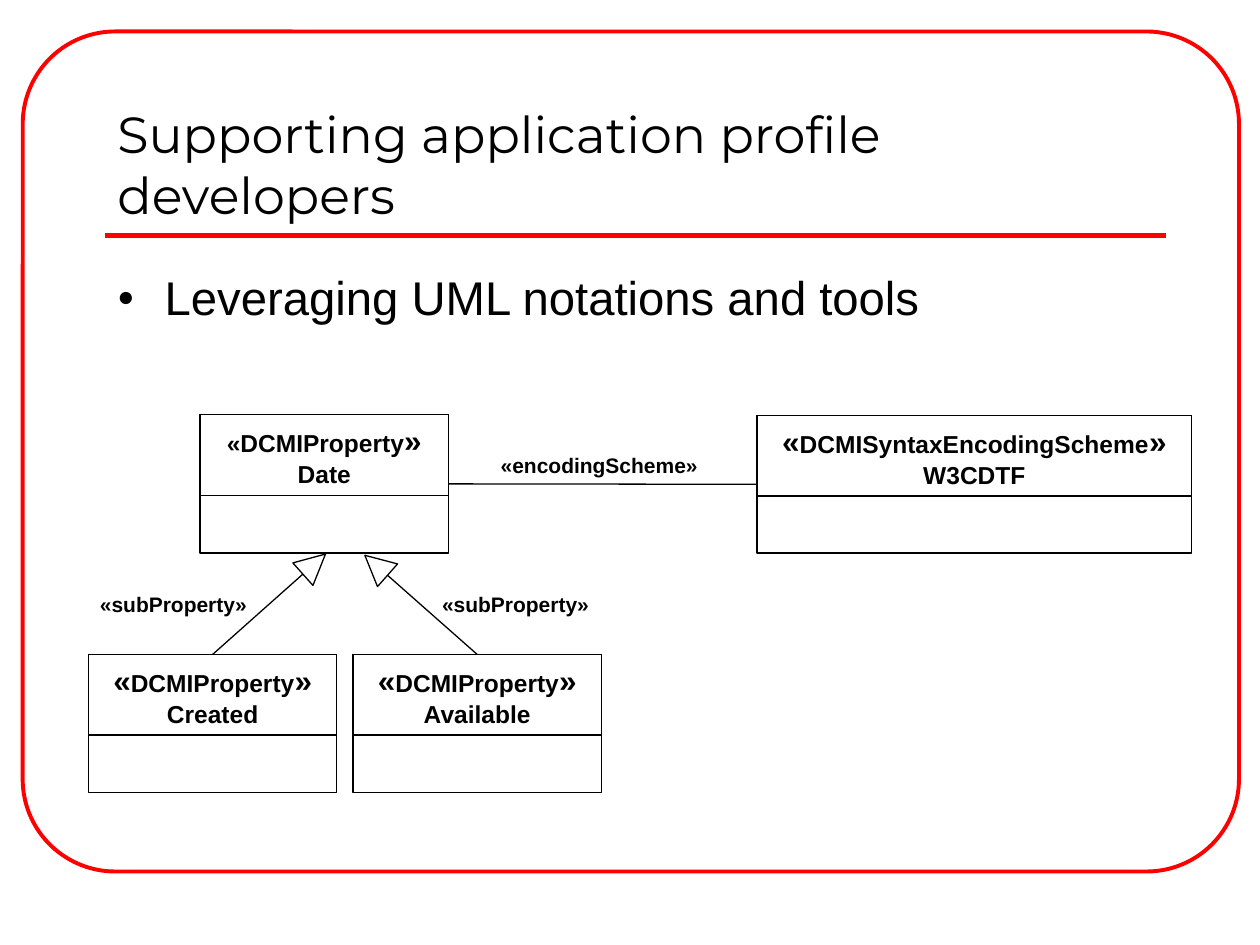
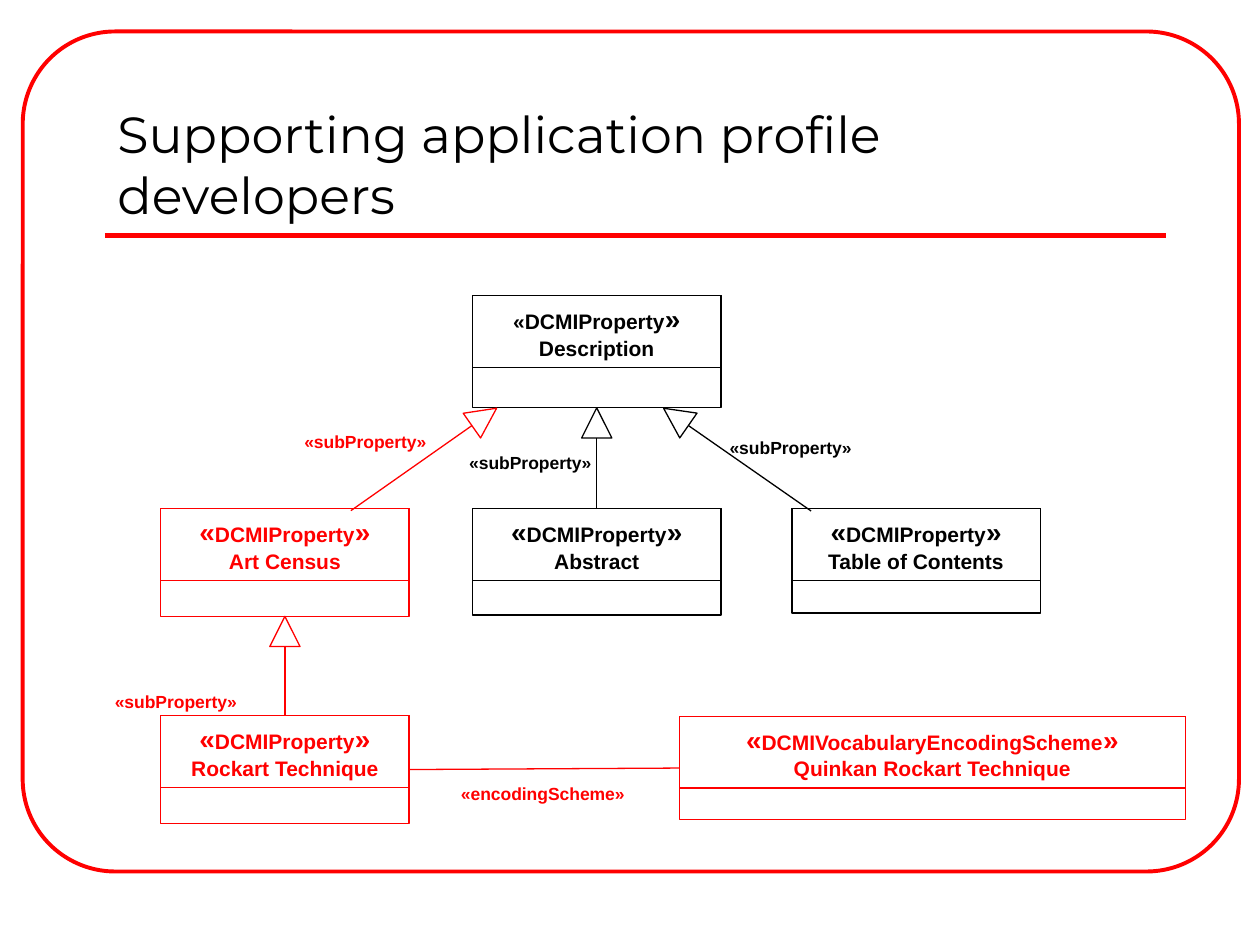
from dataclasses import dataclass
from math import atan2, cos, degrees, sin
from typing import Optional

from lxml.etree import SubElement
from pptx import Presentation
from pptx.dml.color import RGBColor
from pptx.enum.shapes import MSO_CONNECTOR, MSO_SHAPE
from pptx.enum.text import MSO_ANCHOR, MSO_AUTO_SIZE, PP_ALIGN
from pptx.oxml.ns import qn
from pptx.util import Pt

COLORS = {"black": "000000", "red": "FF0000", "white": "FFFFFF"}
BODY_FONT = "Arial"
TITLE_FONT = "Montserrat"
TITLE = "Supporting application profile developers"
LINE_WIDTH = 0.75
TRIANGLE_SIZE = 17.25
TOP, LEFT, BOTTOM, RIGHT = range(4)

SUB_PROPERTY = "«subProperty»"
ENCODING_SCHEME = "«encodingScheme»"
LABEL_WIDTH_EMS = {SUB_PROPERTY: 7, ENCODING_SCHEME: 9.4}

Point = tuple[float, float]


@dataclass(frozen=True)
class UmlClass:
    name: str
    x: float
    y: float
    height: float
    width: float = 142
    stereotype: str = "DCMIProperty"
    color: str = "black"
    small_opening: bool = False


@dataclass(frozen=True)
class Generalization:
    """Line from child to parent; without points it joins their facing sides."""
    child: str
    parent: str
    color: str = "black"
    start: Optional[Point] = None
    tip: Optional[Point] = None


@dataclass(frozen=True)
class Association:
    source: str
    target: str
    color: str = "black"


@dataclass(frozen=True)
class Label:
    text: str
    x: float
    y: float
    color: str = "black"


@dataclass(frozen=True)
class Diagram:
    text_size: float
    header_height: float
    label_size: float
    classes: list[UmlClass]
    generalizations: list[Generalization]
    association: Association
    labels: list[Label]


DATE_DIAGRAM = Diagram(
    text_size=14, header_height=46, label_size=12,
    classes=[
        UmlClass("Date", 114.3, 237, 79, small_opening=True),
        UmlClass("Created", 50.5, 374, 79),
        UmlClass("W3CDTF", 432.6, 237.5, 78.5, width=248.4,
                 stereotype="DCMISyntaxEncodingScheme"),
        UmlClass("Available", 201.7, 374, 79),
    ],
    generalizations=[
        Generalization("Created", "Date", tip=(186, 316.6)),
        Generalization("Available", "Date", tip=(208.5, 317.3)),
    ],
    association=Association("Date", "W3CDTF"),
    labels=[
        Label(ENCODING_SCHEME, 279, 254.8),
        Label(SUB_PROPERTY, 245.5, 334.5),
        Label(SUB_PROPERTY, 50, 334.5),
    ],
)

DESCRIPTION_DIAGRAM = Diagram(
    text_size=12, header_height=41, label_size=10,
    classes=[
        UmlClass("Description", 270, 169, 64, small_opening=True),
        UmlClass("Art Census", 91.8, 290.7, 61.5, color="red"),
        UmlClass("Quinkan Rockart Technique", 388.3, 409.3, 59.2, width=289,
                 stereotype="DCMIVocabularyEncodingScheme", color="red"),
        UmlClass("Rockart Technique", 91.8, 409, 61.5, color="red"),
        UmlClass("Abstract", 270, 290.7, 60.7),
        UmlClass("Table of Contents", 452.5, 290.7, 59.7),
    ],
    generalizations=[
        Generalization("Rockart Technique", "Art Census", color="red"),
        Generalization("Abstract", "Description"),
        Generalization("Table of Contents", "Description",
                       start=(463.5, 292), tip=(379.2, 233.3)),
        Generalization("Art Census", "Description", color="red",
                       start=(200.5, 291.8), tip=(283.8, 233.3)),
    ],
    association=Association("Rockart Technique", "Quinkan Rockart Technique", "red"),
    labels=[
        Label(SUB_PROPERTY, 261, 254.8),
        Label(SUB_PROPERTY, 58.5, 391.3, "red"),
        Label(SUB_PROPERTY, 409.8, 246.2),
        Label(SUB_PROPERTY, 166.8, 242.7, "red"),
        Label(ENCODING_SCHEME, 256.3, 443.8, "red"),
    ],
)


def rgb(color: str) -> RGBColor:
    return RGBColor.from_string(COLORS[color])


def write_text(shape, lines, *, size=12, font=BODY_FONT, color="black", bold=False,
               align=PP_ALIGN.LEFT, anchor=MSO_ANCHOR.TOP, wrap=True, bullet=False):
    """Each line is a string, or a list of (text, size) runs."""
    frame = shape.text_frame
    frame.word_wrap = wrap
    frame.vertical_anchor = anchor
    if not wrap:
        frame.auto_size = MSO_AUTO_SIZE.SHAPE_TO_FIT_TEXT
    for index, line in enumerate(lines):
        paragraph = frame.add_paragraph() if index else frame.paragraphs[0]
        paragraph.alignment = align
        if bullet:
            add_bullet(paragraph)
        for text, run_size in ([(line, size)] if isinstance(line, str) else line):
            run = paragraph.add_run()
            run.text = text
            run.font.name = font
            run.font.size = Pt(run_size)
            run.font.bold = bold
            run.font.color.rgb = rgb(color)


def add_bullet(paragraph) -> None:
    properties = paragraph._p.get_or_add_pPr()
    properties.set("marL", str(Pt(27)))
    properties.set("indent", str(-Pt(27)))
    bullet_color = SubElement(properties, qn("a:buClr"))
    SubElement(bullet_color, qn("a:srgbClr"), val=COLORS["black"])
    SubElement(properties, qn("a:buSzPct"), val="60000")
    SubElement(properties, qn("a:buFont"), typeface=BODY_FONT)
    SubElement(properties, qn("a:buChar"), char="●")


def add_text_box(slide, x: float, y: float, width: float, height: float, lines, **style):
    box = slide.shapes.add_textbox(Pt(x), Pt(y), Pt(width), Pt(height))
    write_text(box, lines, **style)


def add_outline(slide, kind, x: float, y: float, width: float, height: float,
                color: str, line_width: float = LINE_WIDTH, fill: Optional[str] = None):
    shape = slide.shapes.add_shape(kind, Pt(x), Pt(y), Pt(width), Pt(height))
    shape.shadow.inherit = False
    if fill:
        shape.fill.solid()
        shape.fill.fore_color.rgb = rgb(fill)
    else:
        shape.fill.background()
    shape.line.color.rgb = rgb(color)
    shape.line.width = Pt(line_width)
    return shape


def add_line(slide, start: Point, end: Point, color: str, line_width: float = LINE_WIDTH):
    line = slide.shapes.add_connector(
        MSO_CONNECTOR.STRAIGHT, *(Pt(value) for value in (*start, *end)))
    line.line.color.rgb = rgb(color)
    line.line.width = Pt(line_width)
    SubElement(line._element.spPr, qn("a:effectLst"))
    return line


def add_class(slide, uml_class: UmlClass, diagram: Diagram):
    """Return the full outline, which connectors join."""
    size, quote_size = diagram.text_size, diagram.text_size + 4
    position = (uml_class.x, uml_class.y, uml_class.width)
    header = add_outline(slide, MSO_SHAPE.RECTANGLE, *position,
                         diagram.header_height, uml_class.color)
    stereotype = [("«", size if uml_class.small_opening else quote_size),
                  (uml_class.stereotype, size), ("»", quote_size)]
    write_text(header, [stereotype, uml_class.name], size=size, bold=True,
               color=uml_class.color, align=PP_ALIGN.CENTER)
    return add_outline(slide, MSO_SHAPE.RECTANGLE, *position,
                       uml_class.height, uml_class.color)


def add_generalization(slide, link: Generalization, outlines: dict) -> None:
    line = add_line(slide, link.start or (0, 0), link.tip or (0, 0), link.color)
    if link.start is None:
        line.begin_connect(outlines[link.child], TOP)
    if link.tip is None:
        line.end_connect(outlines[link.parent], BOTTOM)
    tip_x, tip_y = line.end_x.pt, line.end_y.pt
    angle = atan2(tip_x - line.begin_x.pt, line.begin_y.pt - tip_y)
    half = TRIANGLE_SIZE / 2
    triangle = add_outline(
        slide, MSO_SHAPE.ISOSCELES_TRIANGLE,
        tip_x - half * sin(angle) - half, tip_y + half * cos(angle) - half,
        TRIANGLE_SIZE, TRIANGLE_SIZE, link.color, fill="white")
    triangle.rotation = degrees(angle)


def add_label(slide, label: Label, size: float) -> None:
    width = LABEL_WIDTH_EMS[label.text] * size + 14.4
    add_text_box(slide, label.x, label.y, width, size * 1.2 + 7.2, [label.text],
                 size=size, bold=True, color=label.color, wrap=False)


def add_diagram(slide, diagram: Diagram) -> None:
    outlines = {uml_class.name: add_class(slide, uml_class, diagram)
                for uml_class in diagram.classes}
    association = diagram.association
    line = add_line(slide, (0, 0), (0, 0), association.color)
    line.begin_connect(outlines[association.source], RIGHT)
    line.end_connect(outlines[association.target], LEFT)
    for link in diagram.generalizations:
        add_generalization(slide, link, outlines)
    for label in diagram.labels:
        add_label(slide, label, diagram.label_size)


def add_framed_slide(presentation):
    slide = presentation.slides.add_slide(presentation.slide_layouts[6])
    frame = add_outline(slide, MSO_SHAPE.ROUNDED_RECTANGLE, 13, 18, 695, 480, "red", 2.25)
    frame.adjustments[0] = 0.11
    add_line(slide, (60, 134.7), (666, 134.7), "red", 3)
    add_text_box(slide, 60, 42, 606, 90, [TITLE], size=29, font=TITLE_FONT,
                 anchor=MSO_ANCHOR.BOTTOM)
    return slide


def main() -> None:
    presentation = Presentation()
    presentation.slide_width, presentation.slide_height = Pt(720), Pt(540)

    date_slide = add_framed_slide(presentation)
    add_text_box(date_slide, 60, 150, 606, 154, ["Leveraging UML notations and tools"],
                 size=27, bullet=True)
    add_diagram(date_slide, DATE_DIAGRAM)

    description_slide = add_framed_slide(presentation)
    add_diagram(description_slide, DESCRIPTION_DIAGRAM)

    presentation.save("out.pptx")


if __name__ == "__main__":
    main()
